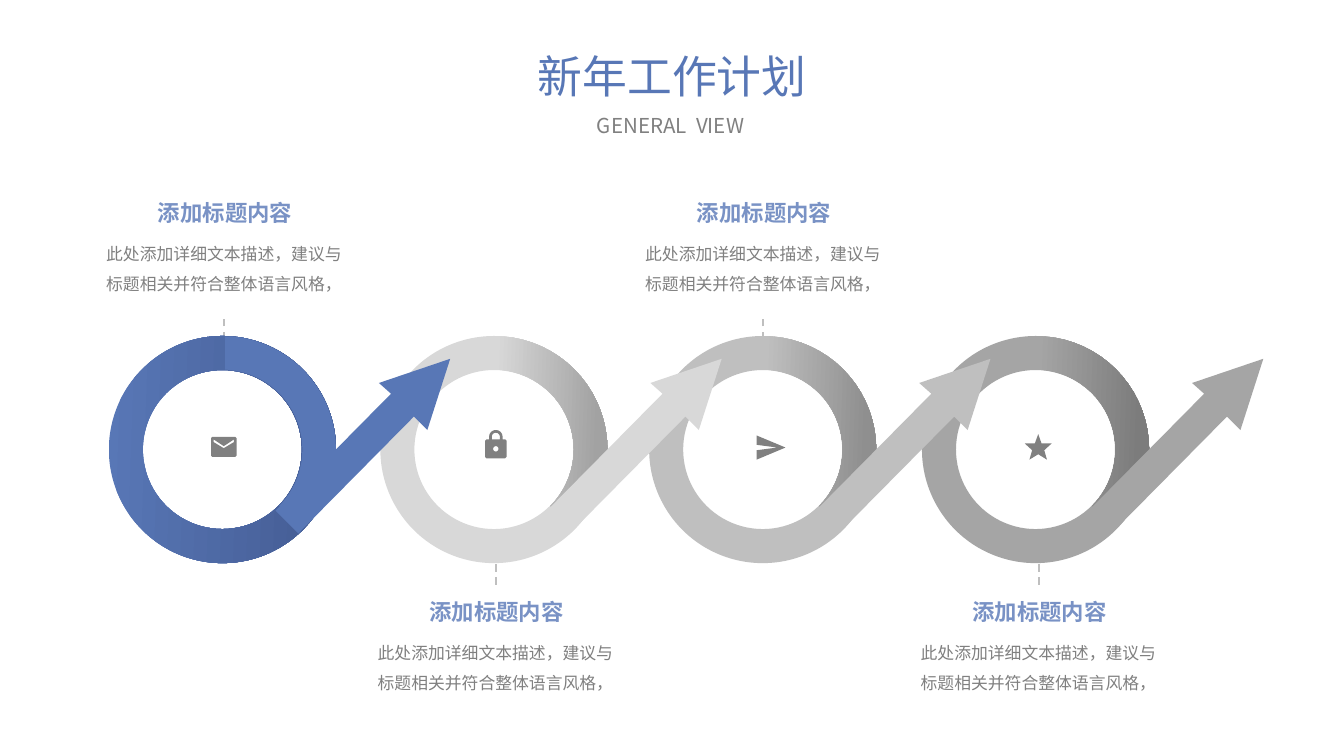
from math import cos, radians, sin

from lxml.etree import SubElement
from pptx import Presentation
from pptx.dml.color import RGBColor
from pptx.enum.dml import MSO_LINE as Dash
from pptx.enum.shapes import MSO_CONNECTOR as Connector, MSO_SHAPE as Shape
from pptx.enum.text import MSO_ANCHOR as Anchor, MSO_AUTO_SIZE as AutoSize, PP_ALIGN as Align
from pptx.oxml.ns import qn
from pptx.util import Inches, Pt

FONT = "Noto Sans CJK SC"
GREY = "808080"
BLUE, NAVY, SKY = "5877B6", "465E96", "7992C5"

deck = Presentation()
deck.slide_width = Inches(10)
deck.slide_height = deck.slide_width * 9 // 16
column = row = deck.slide_width // 1000
page = deck.slides.add_slide(deck.slide_layouts[6])


def paint(fill, first, last=None, end=0.9, angle=358):
    if last is None:
        fill.solid()
        fill.fore_color.rgb = RGBColor.from_string(first)
        return
    fill.gradient()
    fill.gradient_angle = angle
    for stop, colour, position in zip(fill.gradient_stops, (first, last), (0, end)):
        stop.color.rgb = RGBColor.from_string(colour)
        stop.position = position


def write(text, left, top, width, height, size, colours, bold=None, inset=None,
          anchor=Anchor.TOP, spacing=None, before=None, end=0.98):
    box = page.shapes.add_textbox(
        round(left * column), round(top * row), width * column, height * row)
    frame = box.text_frame
    frame.word_wrap = True
    frame.auto_size = AutoSize.SHAPE_TO_FIT_TEXT
    frame.vertical_anchor = anchor
    if inset is not None:
        frame.margin_left = frame.margin_right = inset * column
        frame.margin_top = frame.margin_bottom = inset * row
    para = frame.paragraphs[0]
    para.alignment = Align.CENTER
    if spacing:
        para.line_spacing = spacing
    if before:
        para.space_before = Pt(before)
    span = para.add_run()
    span.text = text
    span.font.size = Pt(size)
    span.font.bold = bold
    span.font.name = FONT
    paint(span.font.fill, *colours, end=end, angle=270)
    SubElement(span.font._element, qn("a:ea"), typeface=FONT)


turn = [(cos(radians(angle)), sin(radians(angle))) for angle in range(-90, 271, 5)]

steps = [
    (167, 81, (BLUE, NAVY), (BLUE,), BLUE, True),
    (369, 283, ("D8D8D8",), ("D8D8D8", "A2A2A2"), "D8D8D8", False),
    (568, 483, ("BFBFBF",), ("BFBFBF", "8F8F8F"), "BFBFBF", True),
    (773, 686, ("A5A5A5",), ("A5A5A5", "7C7C7C"), "A5A5A5", False),
]

for middle, *_, above in steps:
    top = 235 if above else 408
    line = page.shapes.add_connector(
        Connector.STRAIGHT, middle * column, (top + 27) * row, middle * column, top * row)
    paint(line.line.fill, "BFBFBF")
    line.line.width = Pt(1)
    line.line.dash_style = Dash.DASH
    SubElement(line._element.spPr, qn("a:effectLst"))

shade = [(86.5, 0.5)] + [(84.5 + 84.5 * x, 84.5 + 84.5 * y) for x, y in turn[1:25]]
shade += [(84.5 + 59.5 * x, 84.5 + 59.5 * y) for x, y in turn[27:0:-1]] + [(86.5, 25)]
arrow = [(254, 17), (201, 35), (210, 43), (124, 130), (141, 147), (227, 60), (237, 70)]

outlines = []
for _, left, ring_colours, shade_colours, arrow_colour, _ in reversed(steps):
    group = page.shapes.add_group_shape()
    ring = group.shapes.add_shape(
        Shape.DONUT, left * column, 250 * row, 169 * column, 169 * row)
    ring.adjustments[0] = 0.15
    ring.shadow.inherit = False
    ring.line.fill.background()
    paint(ring.fill, *ring_colours)
    outlines += [(group, left, 250, [shade], shade_colours),
                 (group, left, 250, [arrow], (arrow_colour,))]

envelope = [
    [(1, 0), (18, 0), (19, 1), (19, 14), (18, 15), (1, 15), (0, 14), (0, 1)],
    [(17, 4), (9.5, 8.5), (2, 4), (2, 2), (9.5, 7), (17, 2)],
]
half_turn = turn[54:-1] + turn[:19]
lock = [
    [(3, 7)] + [(8 + 5 * x, 5 + 5 * y) for x, y in half_turn]
    + [(13, 7), (15, 7), (16, 8), (16, 20), (15, 21), (1, 21), (0, 20), (0, 8), (1, 7)],
    [(8 + 2 * x, 14 + 2 * y) for x, y in turn],
    [(11, 7), (5, 7)] + [(8 + 3 * x, 5 + 3 * y) for x, y in half_turn],
]
plane = [[(0, 18), (21.5, 9), (0, 0), (0, 7), (15.5, 9), (0, 11)]]
star = [[(10.5, 15), (17, 19), (15, 12), (20.5, 7), (13, 7), (10.5, 0),
         (8, 7), (0.5, 7), (6, 12), (4, 19)]]
for left, top, icon in ((157, 325, envelope), (361, 320, lock),
                        (762, 323, star), (563, 324, plane)):
    outlines.append((page, left, top, icon, (GREY,)))

for holder, left, top, contours, colours in outlines:
    contours = [[((left + x) * column, (top + y) * row) for x, y in contour]
                for contour in contours]
    builder = holder.shapes.build_freeform(*contours[0][0])
    builder.add_line_segments(contours[0][1:])
    for contour in contours[1:]:
        builder.move_to(*contour[0])
        builder.add_line_segments(contour[1:])
    outline = builder.convert_to_shape()
    outline.shadow.inherit = False
    outline.line.fill.background()
    paint(outline.fill, *colours)

for middle, *_, above in steps:
    top = 144 if above else 441
    write("添加标题内容", middle - 69, top, 139, 29, 12, (SKY, NAVY), bold=True, inset=4)
    write("此处添加详细文本描述，建议与标题相关并符合整体语言风格，", middle - 94.5, top + 28.5,
          188, 47, 9, (GREY,), inset=2, anchor=Anchor.MIDDLE, spacing=1.5, before=22.1)

write("新年工作计划", 370.5, 31, 259, 50, 24, (BLUE, NAVY), end=1)
write("GENERAL  VIEW", 397.5, 79, 203, 29, 11, (GREY,))

deck.save("out.pptx")
